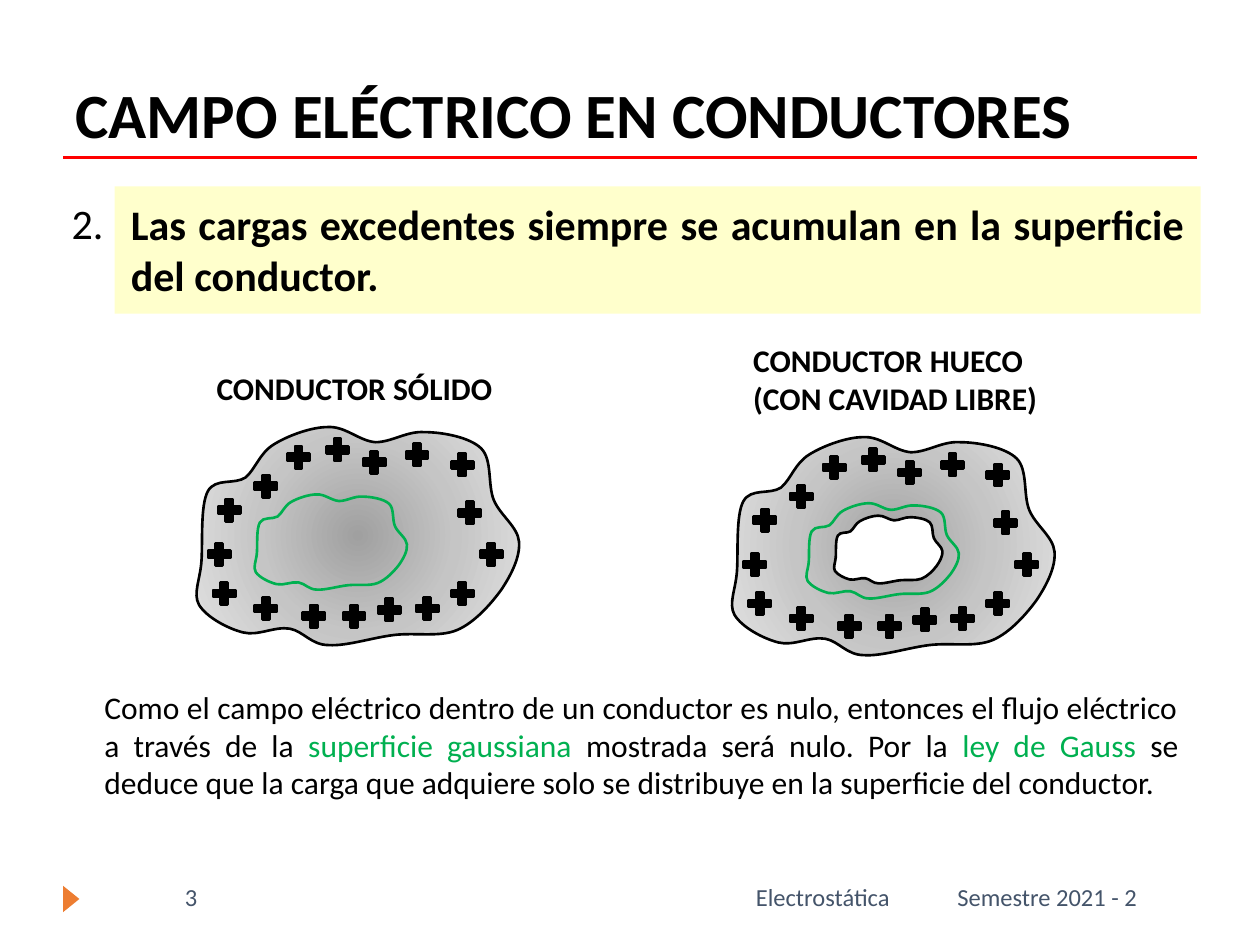
import lxml.etree
import pptx
import pptx.util
import pptx.dml.color
import pptx.enum.shapes
import pptx.enum.text
import pptx.oxml
import pptx.oxml.ns

Inches = pptx.util.Inches
Kind = pptx.enum.shapes.MSO_SHAPE
Align = pptx.enum.text.PP_ALIGN
Anchor = pptx.enum.text.MSO_ANCHOR
Fit = pptx.enum.text.MSO_AUTO_SIZE
qn = pptx.oxml.ns.qn

BLACK, GREEN, SLATE = "000000", "00B050", "44546A"
TITLE = "CAMPO ELÉCTRICO EN CONDUCTORES"
CLAIM = "Las cargas excedentes siempre se acumulan en la superficie del conductor."
SOLID_TAG = "CONDUCTOR SÓLIDO"
HOLLOW_TAG = "CONDUCTOR HUECO (CON CAVIDAD LIBRE)"
PROOF = [
    ("Como el campo eléctrico dentro de un conductor es nulo, entonces el flujo eléctrico a través de la ", BLACK),
    ("superficie gaussiana ", GREEN),
    ("mostrada será nulo. Por la ", BLACK),
    ("ley de Gauss ", GREEN),
    ("se deduce que la carga que adquiere solo se distribuye en la superficie del conductor.", BLACK),
]
HEAD = [
    ((1.37, 6.95, 2.17, 0.4), [("3", SLATE)], 14, False, Align.LEFT),
    ((0.5, 0.25, 9, 1), [(TITLE, BLACK)], 36, True, Align.LEFT),
    ((0.94, 1.53, 8.56, 0.91), [(CLAIM, BLACK)], 24, True, Align.JUSTIFY),
    ((0.47, 1.52, 0.53, 0.4), [("2.", BLACK)], 24, False, Align.JUSTIFY),
]
TAGS = [
    ((1.62, 2.88, 2.41, 0.4), [(SOLID_TAG, BLACK)], 18, True, Align.LEFT),
    ((5.88, 2.66, 2.47, 0.71), [(HOLLOW_TAG, BLACK)], 18, True, Align.LEFT),
]
FOOT = [
    ((0.73, 5.41, 8.72, 1.01), PROOF, 18, False, Align.JUSTIFY),
    ((7.5, 6.95, 2.5, 0.4), [("Semestre 2021 - 2", SLATE)], 14, False, Align.LEFT),
    ((3.67, 6.95, 3.49, 0.4), [("Electrostática", SLATE)], 14, False, Align.RIGHT),
]
GROWS = {CLAIM, SOLID_TAG, HOLLOW_TAG, PROOF[0][0]}

UNIT = 100
SIZE = (2.56, 1.74)
START = (37, 164)
CURVES = [
    (25, 161, 8, 152, 2, 142), (-3, 133, 3, 122, 4, 107),
    (5, 92, 3, 63, 9, 52), (15, 41, 30, 47, 39, 41),
    (47, 34, 50, 22, 61, 15), (72, 8, 91, 1, 104, 1),
    (118, 0, 129, 12, 142, 13), (155, 13, 167, 4, 181, 5),
    (195, 5, 217, 9, 226, 18), (235, 27, 231, 47, 236, 59),
    (241, 71, 255, 80, 256, 92), (257, 104, 250, 118, 242, 130),
    (234, 141, 221, 156, 207, 162), (193, 168, 174, 164, 157, 166),
    (140, 168, 119, 175, 105, 174), (91, 174, 85, 163, 74, 161),
    (62, 159, 49, 167, 37, 164),
]
PLUS = 0.24
CHARGES = [
    (0.69, 0.13), (0.43, 0.36), (0.14, 0.55), (0.06, 0.9), (0.1, 1.21), (0.43, 1.33),
    (0.81, 1.39), (1.13, 1.39), (1.41, 1.34), (1.71, 1.33), (1.99, 1.21), (2.22, 0.9),
    (2.05, 0.57), (1.99, 0.19), (1.63, 0.11), (1.29, 0.17), (1, 0.07),
]
SOLID, HOLLOW = (1.56, 3.38), (5.81, 3.46)
HOLE = (6.62, 4.09, 0.86, 0.54)
GAUSS = [(2.02, 3.92, 1.21, 0.76), (6.4, 3.99, 1.21, 0.76)]
SHADES = [(0, "A0A0A0"), (50, "C5C5C5"), (100, "E3E3E3")]


def color(code):
    return pptx.dml.color.RGBColor.from_string(code)


def paint(shape, fill=None, line=None):
    shape.shadow.inherit = False
    if fill:
        shape.fill.solid()
        shape.fill.fore_color.rgb = color(fill)
    else:
        shape.fill.background()
    if line:
        shape.line.color.rgb = color(line)
        shape.line.width = pptx.util.Pt(1.5)
    else:
        shape.line.fill.background()


def add_text(shapes, box, runs, size, bold, align):
    frame = shapes.add_textbox(*map(Inches, box)).text_frame
    first = runs[0][0]
    frame.word_wrap = first != SOLID_TAG
    if first in GROWS:
        frame.auto_size = Fit.SHAPE_TO_FIT_TEXT
    if first == TITLE:
        frame.vertical_anchor = Anchor.BOTTOM
    para = frame.paragraphs[0]
    para.alignment = align
    para.font.name = "Calibri"
    para.font.size = pptx.util.Pt(size)
    para.font.bold = bold
    for words, code in runs:
        run = para.add_run()
        run.text = words
        run.font.color.rgb = color(code)


def add_step(track, name, nums):
    step = lxml.etree.SubElement(track, qn(name))
    for x, y in zip(nums[::2], nums[1::2]):
        lxml.etree.SubElement(step, qn("a:pt"), x=str(x), y=str(y))


def add_blob(shapes, box, fill, line):
    left, top, *sides = box
    wide, high = (round(side * UNIT) for side in SIZE)
    scale = (Inches(sides[0]) / wide, Inches(sides[1]) / high)
    form = shapes.build_freeform(0, 0, scale)
    form.add_line_segments([(wide, high)])
    blob = form.convert_to_shape(Inches(left), Inches(top))
    track = blob.element.spPr.find(".//" + qn("a:path"))
    for step in list(track):
        track.remove(step)
    add_step(track, "a:moveTo", START)
    for curve in CURVES:
        add_step(track, "a:cubicBezTo", curve)
    add_step(track, "a:close", ())
    paint(blob, fill, line)
    return blob


def shade(shape):
    stops = "".join(
        f'<a:gs pos="{pos * 1000}"><a:srgbClr val="{code}"/></a:gs>' for pos, code in SHADES)
    grad = pptx.oxml.parse_xml(
        f'<a:gradFill {pptx.oxml.ns.nsdecls("a")} rotWithShape="1"><a:gsLst>{stops}</a:gsLst>'
        '<a:path path="circle"><a:fillToRect l="50000" t="50000" r="50000" b="50000"/></a:path>'
        '</a:gradFill>')
    props = shape.element.spPr
    props.replace(props.find(qn("a:solidFill")), grad)


def add_body(shapes, spot, hole=None):
    group = shapes.add_group_shape().shapes
    shade(add_blob(group, spot + SIZE, SHADES[1][1], BLACK))
    for x, y in CHARGES:
        box = (spot[0] + x, spot[1] + y, PLUS, PLUS)
        paint(group.add_shape(Kind.MATH_PLUS, *map(Inches, box)), BLACK, BLACK)
    if hole:
        add_blob(group, hole, "FFFFFF", BLACK)


def main():
    deck = pptx.Presentation()
    deck.slide_width, deck.slide_height = Inches(10), Inches(7.5)
    shapes = deck.slides.add_slide(deck.slide_layouts[6]).shapes

    mark = shapes.add_shape(Kind.ISOSCELES_TRIANGLE, *map(Inches, (0.46, 7.07, 0.21, 0.13)))
    mark.rotation = 90
    paint(mark, "ED7D31")

    rule = shapes.add_connector(
        pptx.enum.shapes.MSO_CONNECTOR.STRAIGHT, *map(Inches, (0.5, 1.25, 9.5, 1.25)))
    rule.line.color.rgb = color("FF0000")
    rule.line.width = pptx.util.Pt(2.25)
    lxml.etree.SubElement(rule.element.spPr, qn("a:effectLst"))

    band = shapes.add_shape(Kind.RECTANGLE, *map(Inches, (0.91, 1.48, 8.62, 1.01)))
    paint(band, "FFFFCC")

    for item in HEAD:
        add_text(shapes, *item)
    add_body(shapes, SOLID)
    add_blob(shapes, GAUSS[0], None, GREEN)
    add_body(shapes, HOLLOW, HOLE)
    for item in TAGS:
        add_text(shapes, *item)
    add_blob(shapes, GAUSS[1], None, GREEN)
    for item in FOOT:
        add_text(shapes, *item)
    deck.save("out.pptx")


if __name__ == "__main__":
    main()
